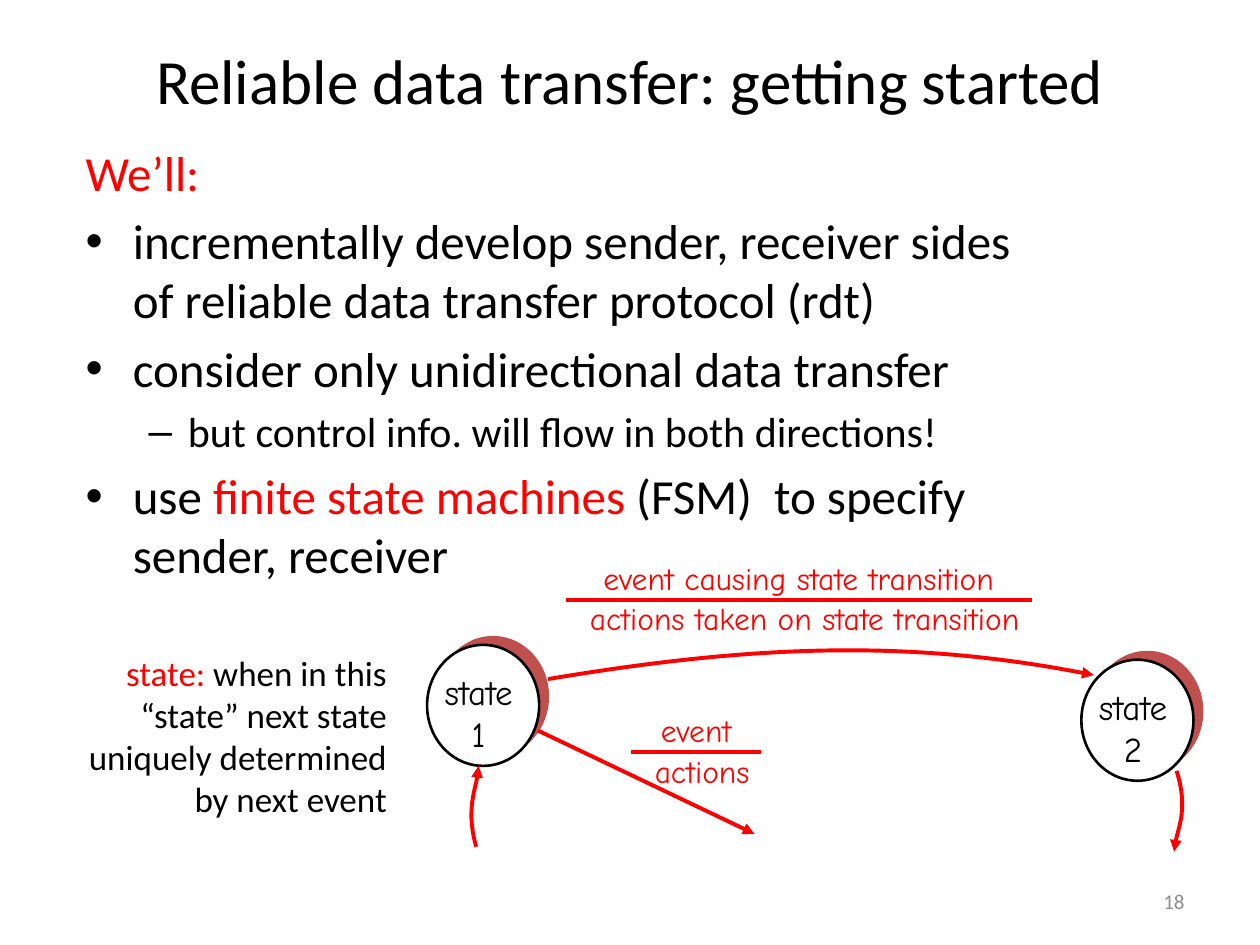
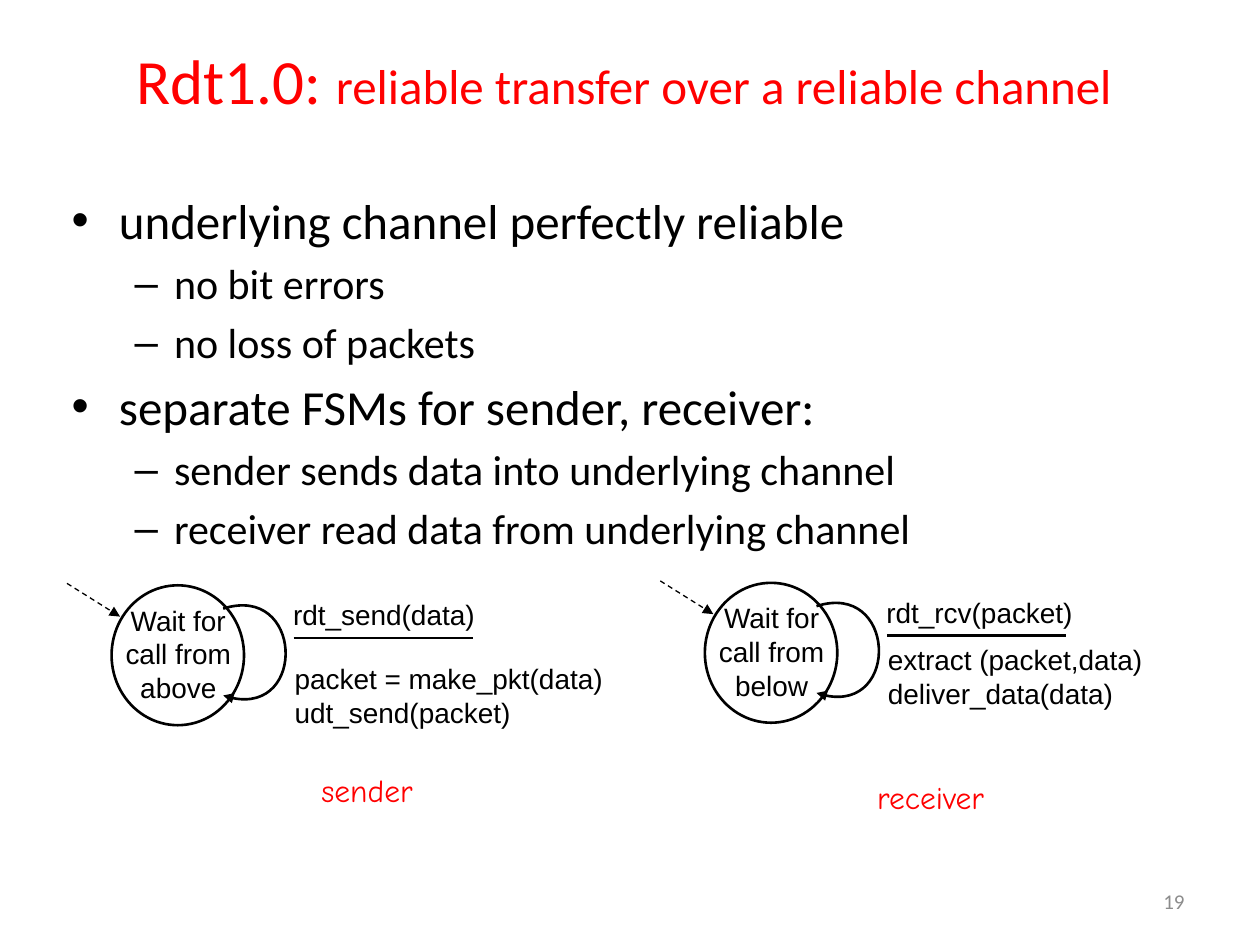
from lxml.etree import SubElement
from pptx import Presentation
from pptx.dml.color import RGBColor
from pptx.enum.dml import MSO_LINE
from pptx.enum.shapes import MSO_CONNECTOR, MSO_SHAPE
from pptx.enum.text import MSO_ANCHOR, MSO_AUTO_SIZE, PP_ALIGN
from pptx.oxml.ns import qn
from pptx.util import Cm, Pt

COLORS = {"ink": "000000", "accent": "FF0000", "shadow": "C0504D",
          "paper": "FFFFFF", "number": "8C8C8C"}
SANS, CODE, HAND = "Calibri", "Arial", "Comic Neue"
RED = {"color": "accent"}


def rgb(name):
    return RGBColor.from_string(COLORS[name])


# Text
def write(frame, paragraphs, size=18, color="ink", font=SANS, align=None):
    """Fill a frame; a paragraph is a string or a list of (text, format) spans."""
    for index, spans in enumerate(paragraphs):
        para = frame.paragraphs[0] if index == 0 else frame.add_paragraph()
        para.alignment = align
        for text, changes in [(spans, {})] if isinstance(spans, str) else spans:
            style = {"size": size, "color": color, "font": font} | changes
            span = para.add_run()
            span.text = text
            span.font.size = Pt(style["size"])
            span.font.name = style["font"]
            span.font.color.rgb = rgb(style["color"])


def add_text(page, left, top, width, height, *paragraphs, wrap=True,
             anchor=MSO_ANCHOR.TOP, **style):
    box = page.shapes.add_textbox(Cm(left), Cm(top), Cm(width), Cm(height))
    box.text_frame.word_wrap = wrap
    box.text_frame.vertical_anchor = anchor
    write(box.text_frame, paragraphs, **style)


def place(shape, left, top, width, height):
    shape.left, shape.top = Cm(left), Cm(top)
    shape.width, shape.height = Cm(width), Cm(height)
    shape.text_frame.auto_size = MSO_AUTO_SIZE.NONE


# Lines and outlines
def style_line(shape, color, weight, arrow=False):
    shape.line.color.rgb = rgb(color)
    shape.line.width = Pt(weight)
    if arrow:
        SubElement(shape.line._get_or_add_ln(), qn("a:tailEnd"), type="triangle")


def add_line(page, start, end, color="ink", weight=1.5, arrow=False, dashed=False):
    line = page.shapes.add_connector(
        MSO_CONNECTOR.STRAIGHT, *(Cm(value) for value in (*start, *end)))
    if dashed:
        line.line.dash_style = MSO_LINE.DASH
    style_line(line, color, weight, arrow)
    SubElement(line._element.spPr, qn("a:effectLst"))


def add_curve(page, start, *points, color="ink", weight=1.5):
    """Draw an arrow along one cubic curve: two control points and an end."""
    builder = page.shapes.build_freeform(Cm(start[0]), Cm(start[1]))
    builder.add_line_segments([(Cm(x), Cm(y)) for x, y in points], close=False)
    curve = builder.convert_to_shape()
    outline = curve._element.find(".//" + qn("a:path"))
    bend = SubElement(outline, qn("a:cubicBezTo"))
    for segment in outline.findall(qn("a:lnTo")):
        bend.append(segment[0])
        outline.remove(segment)
    curve.fill.background()
    curve.shadow.inherit = False
    style_line(curve, color, weight, arrow=True)


def add_disc(page, left, top, width, height, fill="paper", outlined=True):
    disc = page.shapes.add_shape(
        MSO_SHAPE.OVAL, Cm(left), Cm(top), Cm(width), Cm(height))
    disc.shadow.inherit = False
    disc.fill.solid()
    disc.fill.fore_color.rgb = rgb(fill)
    if outlined:
        style_line(disc, "ink", 1.5)
    else:
        disc.line.fill.background()


# Parts every slide has: title, list, page number
def add_page(deck, number, title, title_box, items, body_box, title_color="ink"):
    page = deck.slides.add_slide(deck.slide_layouts[1])
    heading, body = page.placeholders
    place(heading, *title_box)
    write(heading.text_frame, [title], size=36, color=title_color,
          align=PP_ALIGN.CENTER)

    place(body, *body_box)
    sized = [[(text, {"size": 24 if level else 28} | changes)
              for text, changes in spans] for level, spans in items]
    write(body.text_frame, sized)
    for para, (level, _) in zip(body.text_frame.paragraphs, items):
        para.level = level
    body.text_frame.paragraphs[0].space_before = Pt(0)

    add_text(page, 18.21, 17.65, 5.92, 1.02, str(number), size=12,
             color="number", align=PP_ALIGN.RIGHT, anchor=MSO_ANCHOR.MIDDLE)
    return page


# Numbered state with an offset disc behind it
def draw_state(page, left, top, number):
    width, height = 2.26, 2.44
    add_disc(page, left + 0.2, top - 0.18, width, height, "shadow", outlined=False)
    add_disc(page, left, top, width, height)
    add_text(page, left - 0.09, top + 0.4, width, 1.96, "state", str(number),
             wrap=False, size=20, font=HAND, align=PP_ALIGN.CENTER)


# Event above a rule, actions below it
def draw_transition(page, left, rule, width, event, actions):
    style = {"wrap": False, "font": HAND, "align": PP_ALIGN.CENTER, **RED}
    add_text(page, left, rule - 0.95, width, 1.02, event, **style)
    add_text(page, left + 0.12, rule - 0.13, width, 1.02, actions, **style)
    add_line(page, (left, rule), (left + width, rule), weight=2.25, **RED)


# One-state machine with an entry arrow and a loop
def draw_machine(page, left, top, state, event, actions, actions_top,
                 caption, caption_center, caption_top):
    def at(x, y):
        return left + x, top + y

    add_disc(page, *at(0.9, 0.04), 2.67, 2.82)
    add_text(page, *at(0.72, 0.28), 3.05, 2.54, state, size=16, font=CODE,
             align=PP_ALIGN.CENTER)
    add_curve(page, at(3.15, 0.51), at(4.75, 0), at(4.85, 2.84), at(3.15, 2.26))
    add_line(page, at(0, 0), at(1.07, 0.67), weight=0.75, arrow=True, dashed=True)
    add_text(page, *at(4.31, 0.17), 6.2, 0.94, event, size=16, font=CODE)
    add_line(page, at(4.57, 1.1), at(8.18, 1.1))
    add_text(page, *at(4.34, actions_top), 7.4, 1.65, *actions, size=16, font=CODE)
    add_text(page, *at(caption_center - 1.75, caption_top), 3.5, 1.27, caption,
             wrap=False, font=HAND, align=PP_ALIGN.CENTER, **RED)


def build_getting_started(deck):
    items = [
        (0, [("We’ll:", RED)]),
        (0, [("incrementally develop sender, receiver sides of reliable data "
              "transfer protocol (rdt)", {})]),
        (0, [("consider only unidirectional data transfer", {})]),
        (1, [("but control info. will flow in both directions!", {})]),
        (0, [("use ", {}), ("finite state machines ", RED),
             ("(FSM)  to specify sender, receiver", {})]),
    ]
    page = add_page(deck, 18, "Reliable data transfer: getting started",
                    (1.9, 0, 21.6, 3.18), items, (1.47, 2.74, 20.17, 9.32))
    lead = page.placeholders[1].text_frame.paragraphs[0]
    SubElement(lead._p.get_or_add_pPr(), qn("a:buNone"))

    # State diagram
    draw_state(page, 8.61, 13, 1)
    draw_state(page, 21.8, 13.3, 2)
    arrows = [
        [(11.05, 13.69), (15.16, 13), (18.44, 12.88), (22.05, 13.61)],
        [(9.6, 17.07), (9.4, 16.36), (9.65, 15.7), (9.65, 15.44)],
        [(23.72, 15.54), (23.95, 16.28), (23.67, 16.92), (23.67, 17.17)],
    ]
    for points in arrows:
        add_curve(page, *points, weight=2.25, **RED)
    add_line(page, (10.85, 14.73), (15.21, 16.81), weight=2.25, arrow=True, **RED)
    draw_transition(page, 11.4, 12.09, 9.4, "event causing state transition",
                    "actions taken on state transition")
    draw_transition(page, 12.73, 15.16, 2.61, "event", "actions")
    add_text(page, 1.3, 13, 6.75, 3.43,
             [("state:", RED), (" when in this “state” next state uniquely "
                                "determined by next event", {})],
             size=20, align=PP_ALIGN.RIGHT)


def build_rdt_one(deck):
    lines = [
        (0, "underlying channel perfectly reliable"),
        (1, "no bit errors"),
        (1, "no loss of packets"),
        (0, "separate FSMs for sender, receiver:"),
        (1, "sender sends data into underlying channel"),
        (1, "receiver read data from underlying channel"),
    ]
    title = [("Rdt1.0: ", {}),
             ("reliable transfer over a reliable channel", {"size": 28})]
    page = add_page(deck, 19, title, (1.47, 0, 22.22, 3.18),
                    [(level, [(text, {})]) for level, text in lines],
                    (1.19, 3.71, 21.95, 8.38), title_color="accent")

    # Sender and receiver machines
    draw_machine(page, 1.35, 11.76, "Wait for call from above", "rdt_send(data)",
                 ["packet = make_pkt(data)", "udt_send(packet)"], 1.45,
                 "sender", 6.05, 3.66)
    draw_machine(page, 13.31, 11.71, "Wait for call from below", "rdt_rcv(packet)",
                 ["extract (packet,data)", "deliver_data(data)"], 1.12,
                 "receiver", 5.45, 3.84)


def main():
    deck = Presentation()
    deck.slide_width, deck.slide_height = Cm(25.4), Cm(19.05)
    build_getting_started(deck)
    build_rdt_one(deck)
    deck.save("out.pptx")


if __name__ == "__main__":
    main()
